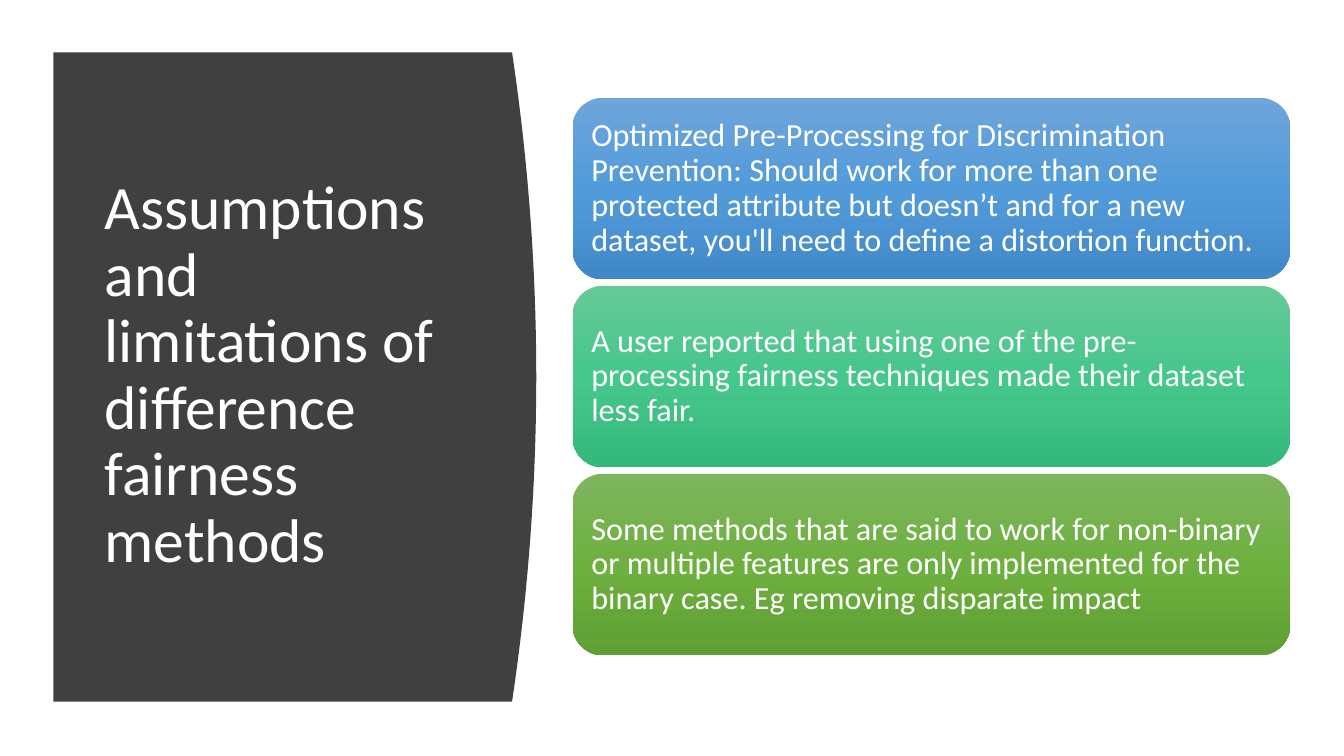
from copy import deepcopy

from pptx import Presentation
from pptx.dml.color import RGBColor
from pptx.enum.shapes import MSO_SHAPE
from pptx.enum.text import MSO_ANCHOR, PP_ALIGN
from pptx.oxml.ns import qn
from pptx.util import Inches, Pt

ROUNDED = MSO_SHAPE.ROUNDED_RECTANGLE
MIDDLE = MSO_ANCHOR.MIDDLE
LEFT = PP_ALIGN.LEFT

COLORS = {
    "panel": "404040",
    "text": "FFFFFF",
    "blue": ("6EA5DA", "529BDA", "4188C8"),
    "teal": ("65C998", "46C78C", "35B87B"),
    "green": ("7EB55F", "6EB03F", "5F9F34"),
}
CARDS = [
    ("blue", "Optimized Pre-Processing for Discrimination Prevention: Should work for "
             "more than one protected attribute but doesn’t and for a new dataset, "
             "you'll need to define a distortion function."),
    ("teal", "A user reported that using one of the pre-processing fairness techniques "
             "made their dataset less fair."),
    ("green", "Some methods that are said to work for non-binary or multiple features are "
              "only implemented for the binary case. Eg removing disparate impact"),
]


def write(s, text, size, inset_y):
    tf = s.text_frame
    frame = {"word_wrap": True, "vertical_anchor": MIDDLE,
             "margin_left": Inches(0.1), "margin_right": Inches(0.1),
             "margin_top": Inches(inset_y), "margin_bottom": Inches(inset_y)}
    for name, value in frame.items():
        setattr(tf, name, value)
    p = tf.paragraphs[0]
    p.alignment = LEFT
    p.line_spacing = 0.9
    r = p.add_run()
    r.text = text
    r.font.name = "Calibri"
    r.font.size = Pt(size)
    r.font.color.rgb = RGBColor.from_string(COLORS["text"])


def fill_gradient(s, colors):
    """Fill from top to bottom with three evenly spaced colours."""
    s.fill.gradient()
    s.fill.gradient_angle = 270
    stops = s._element.spPr.find(qn("a:gradFill")).find(qn("a:gsLst"))
    stops.insert(1, deepcopy(stops[0]))
    for i, (stop, color) in enumerate(zip(s.fill.gradient_stops, colors)):
        stop.position = i / 2
        stop.color.rgb = RGBColor.from_string(color)


prs = Presentation()
prs.slide_width, prs.slide_height = Inches(13.333), Inches(7.5)
shapes = prs.slides.add_slide(prs.slide_layouts[6]).shapes

# Dark panel whose right edge bulges as a parabola
left, top, bottom = 0.53, 0.52, 6.96
peak, bulge, steps = 5.32, 0.24, 40
edge = []
for i in range(steps + 1):
    t = i / steps
    edge.append((Inches(peak - bulge * (2 * t - 1) ** 2),
                 Inches(top + t * (bottom - top))))
outline = shapes.build_freeform(Inches(left), Inches(top))
outline.add_line_segments(edge + [(Inches(left), Inches(bottom))], close=True)
panel = outline.convert_to_shape()
panel.shadow.inherit = False
panel.fill.solid()
panel.fill.fore_color.rgb = RGBColor.from_string(COLORS["panel"])
panel.line.fill.background()

title = shapes.add_textbox(Inches(0.94), Inches(1.11), Inches(3.74), Inches(5.24))
write(title, "Assumptions and limitations of difference fairness methods", 44, 0.05)

# Column of cards
card_left, card_top, card_w, card_h, pitch = 5.68, 0.97, 7.12, 1.8, 1.865
for row, (color, text) in enumerate(CARDS):
    card = shapes.add_shape(ROUNDED, Inches(card_left), Inches(card_top + row * pitch),
                            Inches(card_w), Inches(card_h))
    card.adjustments[0] = 0.167
    card.shadow.inherit = False
    card.line.fill.background()
    fill_gradient(card, COLORS[color])
    write(card, text, 23, 0.1)

prs.save("out.pptx")
